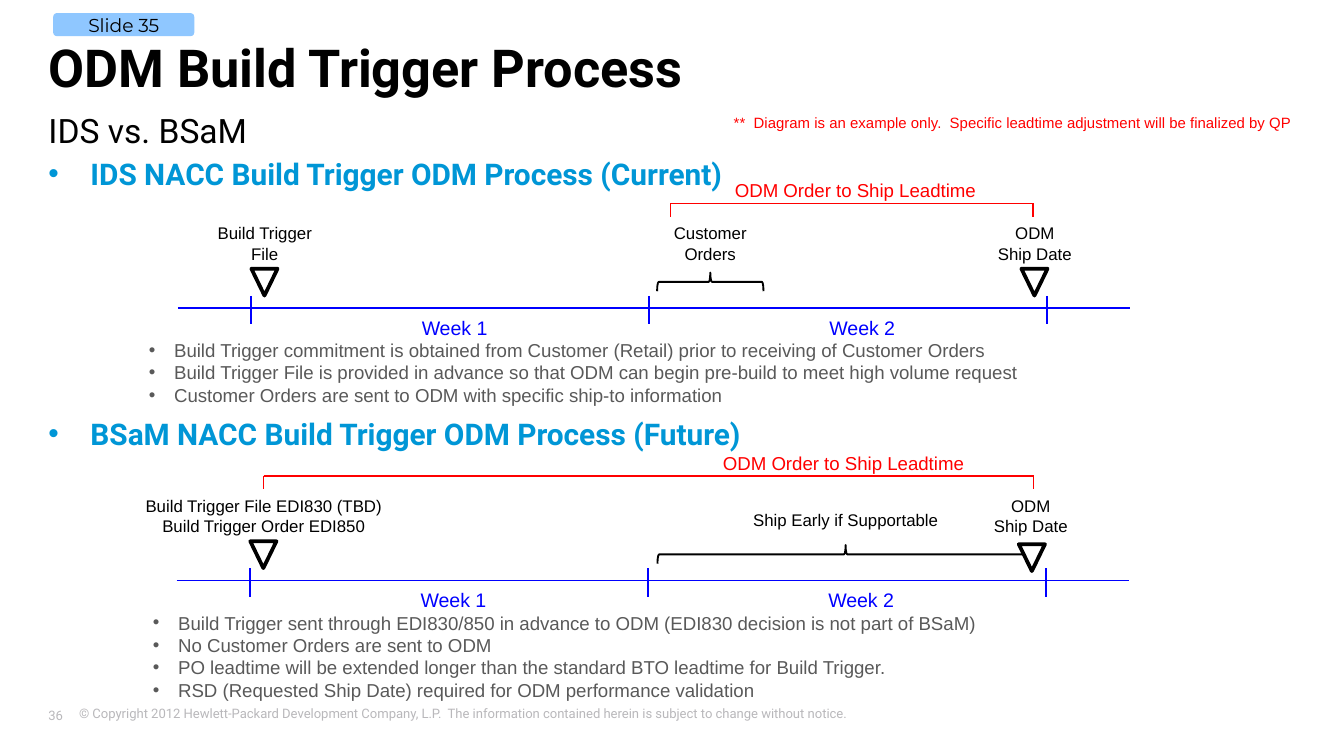
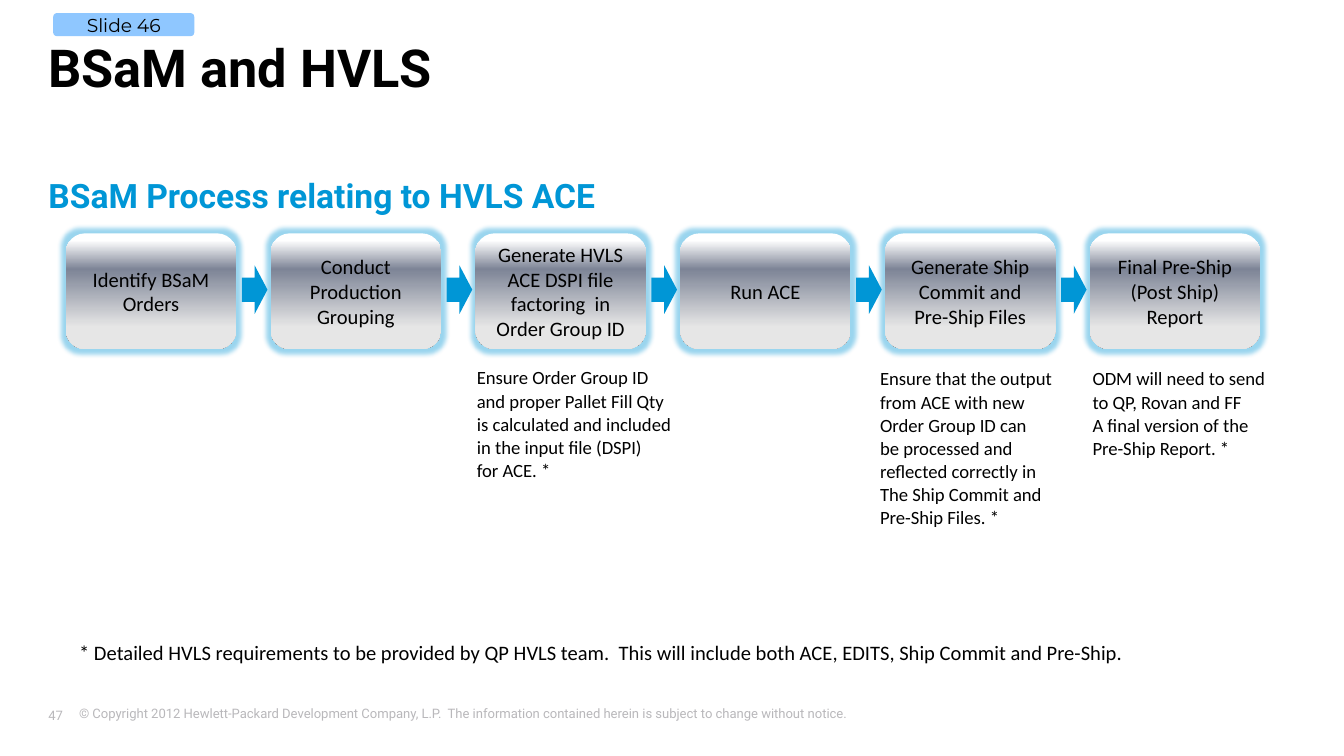
from lxml.etree import SubElement
from pptx import Presentation
from pptx.dml.color import RGBColor
from pptx.enum.shapes import MSO_CONNECTOR, MSO_SHAPE
from pptx.enum.text import MSO_ANCHOR, MSO_AUTO_SIZE, PP_ALIGN
from pptx.oxml.ns import qn
from pptx.util import Pt

BLACK = RGBColor(0x00, 0x00, 0x00)
WHITE = RGBColor(0xFF, 0xFF, 0xFF)
GRAY = RGBColor(0x59, 0x59, 0x59)
FOOTER_GRAY = RGBColor(0xB9, 0xB8, 0xBB)
ACCENT = RGBColor(0x00, 0x96, 0xD6)
BADGE_BLUE = RGBColor(0x33, 0x99, 0xFF)
AXIS_BLUE = RGBColor(0x00, 0x00, 0xFF)
RED = RGBColor(0xFF, 0x00, 0x00)
STEEL = RGBColor(0x7D, 0x84, 0x96)
SILVER = RGBColor(0xE6, 0xE6, 0xE6)
STEP_STOPS = [(6, WHITE), (31, STEEL), (81, SILVER), (100, SILVER)]

HEAD_FONT = "Roboto"
COPYRIGHT = ("© Copyright 2012 Hewlett-Packard Development Company, L.P.  "
             "The information contained herein is subject to change without notice.")
LEFT = 26
WEEK_WIDTH = 213.2


def add_bullet(p, indent):
    pPr = p._p.get_or_add_pPr()
    pPr.set("marL", str(Pt(indent)))
    pPr.set("indent", str(-Pt(indent)))
    SubElement(pPr, qn("a:buFont")).set("typeface", "Arial")
    SubElement(pPr, qn("a:buChar")).set("char", "•")


def write(tf, lines, size, font="Arial", color=BLACK, bold=False,
          align=PP_ALIGN.LEFT, indent=0, spacing=None, after=0):
    for i, line in enumerate(lines):
        p = tf.paragraphs[0] if i == 0 else tf.add_paragraph()
        p.text = line
        p.alignment = align
        p.space_after = Pt(after)
        if spacing:
            p.line_spacing = spacing
        if indent:
            add_bullet(p, indent)
        for r in p.runs:
            r.font.size = Pt(size)
            r.font.name = font
            r.font.bold = bold
            r.font.color.rgb = color


def set_margins(tf, left=0, top=0, right=0, bottom=0):
    tf.margin_left, tf.margin_top = Pt(left), Pt(top)
    tf.margin_right, tf.margin_bottom = Pt(right), Pt(bottom)


def add_text(s, x, y, w, h, lines, size, wrap=False, flush=False, **style):
    tf = s.shapes.add_textbox(Pt(x), Pt(y), Pt(w), Pt(h)).text_frame
    tf.word_wrap = wrap
    if flush:
        set_margins(tf)
    else:
        tf.auto_size = MSO_AUTO_SIZE.SHAPE_TO_FIT_TEXT
    write(tf, lines, size, **style)
    return tf


def add_label(s, center, y, w, lines):
    add_text(s, center - w / 2, y, w, 7.2 + 10.8 * len(lines), lines, 9,
             align=PP_ALIGN.CENTER)


def add_line(s, x1, y1, x2, y2, color, width):
    line = s.shapes.add_connector(MSO_CONNECTOR.STRAIGHT, Pt(x1), Pt(y1), Pt(x2), Pt(y2))
    line.line.color.rgb = color
    line.line.width = Pt(width)
    SubElement(line._element.spPr, qn("a:effectLst"))


def add_shape(s, kind, x, y, w, h, fill=None, alpha=100, line=None, width=1):
    sp = s.shapes.add_shape(kind, Pt(x), Pt(y), Pt(w), Pt(h))
    sp.shadow.inherit = False
    if fill is None:
        sp.fill.background()
    else:
        sp.fill.solid()
        sp.fill.fore_color.rgb = fill
        if alpha < 100:
            clr = sp._element.spPr.find(qn("a:solidFill"))[0]
            SubElement(clr, qn("a:alpha")).set("val", str(alpha * 1000))
    if line is None:
        sp.line.fill.background()
    else:
        sp.line.color.rgb = line
        sp.line.width = Pt(width)
    return sp


def add_color(parent, color, alpha=None):
    clr = SubElement(parent, qn("a:srgbClr"))
    clr.set("val", str(color))
    if alpha:
        SubElement(clr, qn("a:alpha")).set("val", str(alpha * 1000))


def add_slide(prs, title, number, badge_text):
    s = prs.slides.add_slide(prs.slide_layouts[5])
    ph = s.shapes.title
    ph.left, ph.top, ph.width, ph.height = Pt(LEFT), Pt(18.7), Pt(640), Pt(34)
    tf = ph.text_frame
    tf.auto_size = MSO_AUTO_SIZE.NONE
    tf.vertical_anchor = MSO_ANCHOR.TOP
    set_margins(tf)
    write(tf, [title], 28, font=HEAD_FONT, bold=True)

    add_text(s, 35.3, 374.4, 631, 18, [COPYRIGHT], 7, wrap=True,
             font=HEAD_FONT, color=FOOTER_GRAY)
    tf = add_text(s, LEFT, 377.3, 25, 11.5, [number], 7, flush=True,
                  font=HEAD_FONT, color=FOOTER_GRAY)
    set_margins(tf, 0, 3.6, 7.2, 3.6)
    tf.vertical_anchor = MSO_ANCHOR.MIDDLE

    badge = add_shape(s, MSO_SHAPE.ROUNDED_RECTANGLE, 28.5, 7, 75.6, 12.4, BADGE_BLUE, 55)
    set_margins(badge.text_frame)
    badge.text_frame.vertical_anchor = MSO_ANCHOR.MIDDLE
    write(badge.text_frame, [badge_text], 10, font="Montserrat", align=PP_ALIGN.CENTER)
    return s


def add_heading(s, y, text, size, indent=0):
    add_text(s, LEFT, y, 640, 24, [text], size, wrap=True, flush=True,
             font=HEAD_FONT, color=ACCENT, bold=True, indent=indent)


def add_marker(s, x, y, alpha):
    sp = add_shape(s, MSO_SHAPE.ISOSCELES_TRIANGLE, x, y, 14, 14.4, WHITE, alpha, BLACK, 2)
    sp._element.spPr.xfrm.set("flipV", "1")


def add_lead_bracket(s, x1, x2, y, label_x):
    add_line(s, x1, y, x2, y, RED, 0.75)
    for x in (x1, x2):
        add_line(s, x, y, x, y + 7.2, RED, 0.75)
    add_text(s, label_x, y - 16.5, 144.7, 19.4, ["ODM Order to Ship Leadtime"], 10, color=RED)


def add_brace(s, center, y, length):
    sp = add_shape(s, MSO_SHAPE.LEFT_BRACE, center - 5, y - length / 2, 10, length, line=BLACK)
    sp.rotation = 90


def add_timeline(s, x, y, trigger, trigger_width, event, event_center, event_top,
                 brace_length, lead, lead_label_x, ship_center, ship_marker, ship_alpha):
    add_line(s, x, y, x + 510, y, AXIS_BLUE, 1)
    for i in range(3):
        tick = x + 39.4 + i * WEEK_WIDTH
        add_line(s, tick, y - 6.5, tick, y + 8.6, AXIS_BLUE, 1)
    for i in range(2):
        add_text(s, x + 123.6 + i * 218.4, y + 0.7, 50.4, 20, [f"Week {i + 1}"], 10.5,
                 color=AXIS_BLUE)
    add_lead_bracket(s, *lead, y - 56, lead_label_x)
    add_label(s, x + 46.5, y - 49, trigger_width, trigger)
    add_label(s, event_center, y - event_top, 114, event)
    add_label(s, ship_center, y - 49, 54.7, ["ODM", "Ship Date"])
    add_brace(s, event_center, y - 14, brace_length)
    add_marker(s, x + 39.4, y - 21, 61)
    add_marker(s, *ship_marker, ship_alpha)


def add_notes_list(s, x, y, w, lines):
    add_text(s, x, y, w, 7.2 + 12 * len(lines), lines, 10, color=GRAY, indent=13.5,
             spacing=Pt(12))


def add_step(s, x, y, lines):
    sp = add_shape(s, MSO_SHAPE.ROUNDED_RECTANGLE, x, y, 91.4, 62)
    sp.fill.gradient()
    sp.fill.gradient_angle = 270
    spPr = sp._element.spPr
    stops = spPr.find(qn("a:gradFill")).find(qn("a:gsLst"))
    for stop in list(stops):
        stops.remove(stop)
    for pos, color in STEP_STOPS:
        gs = SubElement(stops, qn("a:gs"))
        gs.set("pos", str(pos * 1000))
        add_color(gs, color)
    glow = SubElement(spPr.find(qn("a:effectLst")), qn("a:glow"))
    glow.set("rad", str(Pt(5)))
    add_color(glow, ACCENT, 40)
    tf = sp.text_frame
    tf.word_wrap = True
    tf.vertical_anchor = MSO_ANCHOR.MIDDLE
    write(tf, lines, 11, font="Calibri", align=PP_ALIGN.CENTER)


def add_remark(s, x, y, w, h, lines, size=10, wrap=False):
    add_text(s, x, y, w, h, lines, size, wrap=wrap, font="Calibri", spacing=0.7, after=4)


def build_trigger_slide(prs):
    s = add_slide(prs, "ODM Build Trigger Process", "36", "Slide 35")
    add_text(s, LEFT, 59, 340, 22, ["IDS vs. BSaM"], 18, wrap=True, flush=True, font=HEAD_FONT)
    add_text(s, 386, 57.6, 316.8, 17.3,
             ["**  Diagram is an example only.  Specific leadtime adjustment "
              "will be finalized by QP"], 8, color=RED)
    add_heading(s, 83.5, "IDS NACC Build Trigger ODM Process (Current)", 16, 22.5)
    add_heading(s, 222.8, "BSaM NACC Build Trigger ODM Process (Future)", 16, 22.5)

    add_timeline(s, 95.3, 165, ["Build Trigger", "File"], 66.2,
                 ["Customer", "Orders"], 380.5, 49, 57,
                 (359.3, 553.3), 386.6, 554.4, (547.2, 144), 61)
    add_notes_list(s, 72.7, 178, 483.8, [
        "Build Trigger commitment is obtained from Customer (Retail) prior to "
        "receiving of Customer Orders",
        "Build Trigger File is provided in advance so that ODM can begin pre-build "
        "to meet high volume request",
        "Customer Orders are sent to ODM with specific ship-to information"])

    add_timeline(s, 94.7, 311, ["Build Trigger File EDI830 (TBD)", "Build Trigger Order EDI850"],
                 142.6, ["Ship Early if Supportable"], 453, 41.7, 201.6,
                 (141.2, 553.8), 380.2, 552.2, (545.8, 291.6), 100)
    add_notes_list(s, 74.9, 324, 458.6, [
        "Build Trigger sent through EDI830/850 in advance to ODM "
        "(EDI830 decision is not part of BSaM)",
        "No Customer Orders are sent to ODM",
        "PO leadtime will be extended longer than the standard BTO leadtime for Build Trigger.",
        "RSD (Requested Ship Date) required for ODM performance validation"])


def build_process_slide(prs):
    s = add_slide(prs, "BSaM and HVLS", "47", "Slide 46")
    add_heading(s, 93.6, "BSaM Process relating to HVLS ACE", 18)

    steps = [["Identify BSaM Orders"],
             ["Conduct", "Production Grouping"],
             ["Generate HVLS ACE DSPI file factoring  in Order Group ID"],
             ["Run ACE"],
             ["Generate Ship Commit and Pre-Ship Files"],
             ["Final Pre-Ship (Post Ship) Report"]]
    for i, lines in enumerate(steps):
        x = 35.3 + i * 109.7
        add_step(s, x, 125, lines)
        if i < len(steps) - 1:
            add_shape(s, MSO_SHAPE.RIGHT_ARROW, x + 94.3, 142.2, 13.7, 26, ACCENT)

    add_remark(s, 248.4, 196, 122.4, 78.5, [
        "Ensure Order Group ID", "and proper Pallet Fill Qty", "is calculated and included",
        "in the input file (DSPI)", "for ACE. *"])
    add_remark(s, 464.4, 196.5, 108, 90.7, [
        "Ensure that the output", "from ACE with new", "Order Group ID can",
        "be processed and", "reflected correctly in", "The Ship Commit and",
        "Pre-Ship Files. *"])
    add_remark(s, 578.2, 196.5, 108, 53.3, [
        "ODM will need to send", "to QP, Rovan and FF", "A final version of the",
        "Pre-Ship Report. *"])
    add_remark(s, 35.3, 342.7, 597, 16.6, [
        "* Detailed HVLS requirements to be provided by QP HVLS team.  "
        "This will include both ACE, EDITS, Ship Commit and Pre-Ship."], 11, wrap=True)


def main():
    prs = Presentation()
    prs.slide_width, prs.slide_height = Pt(720), Pt(405)
    build_trigger_slide(prs)
    build_process_slide(prs)
    prs.save("out.pptx")


if __name__ == "__main__":
    main()
